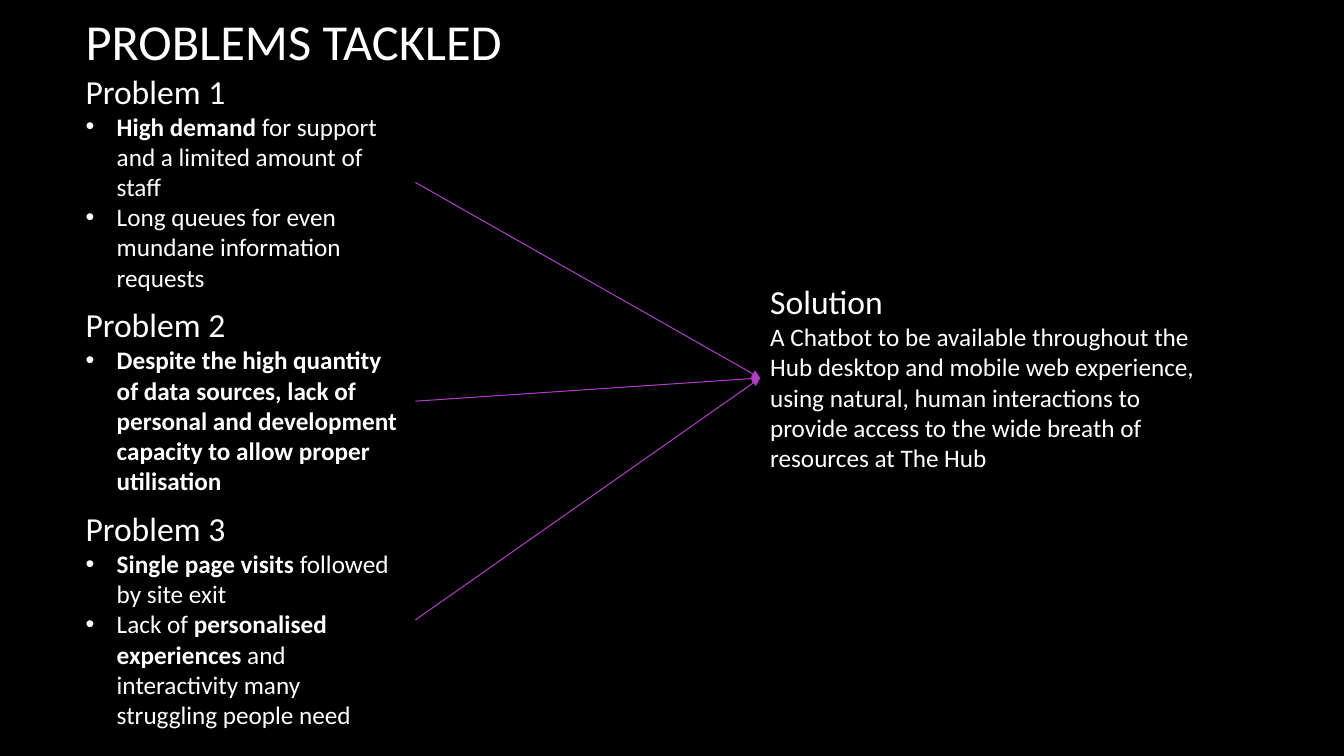
from lxml import etree
from pptx import Presentation
from pptx.dml.color import RGBColor
from pptx.enum.shapes import MSO_CONNECTOR
from pptx.enum.text import MSO_ANCHOR
from pptx.oxml.ns import qn
from pptx.util import Inches, Pt

COLORS = {"background": "000000", "text": "FFFFFF", "arrow": "AC3EC1"}
FONT = "Calibri"
LEFT, PROBLEM_WIDTH = 0.75, 3.37
SOLUTION_LEFT, SOLUTION_TOP, SOLUTION_HEIGHT = 7.54, 2.74, 2.02

PROBLEMS = [
    ("Problem 1", 0.65, 2.32, [
        [("High demand ", True), ("for support and a limited amount of staff", False)],
        [("Long queues for even mundane information requests", False)],
    ]),
    ("Problem 2", 2.97, 2.02, [
        [("Despite the high quantity of data sources, lack of personal and "
          "development capacity to allow proper utilisation", True)],
    ]),
    ("Problem 3", 4.99, 2.32, [
        [("Single page visits", True), (" followed by site exit", False)],
        [("Lack of ", False), ("personalised experiences", True),
         (" and interactivity many struggling people need", False)],
    ]),
]
SOLUTION = [[(
    "A Chatbot to be available throughout the Hub desktop and mobile web "
    "experience, using natural, human interactions to provide access to the "
    "wide breath of resources at The Hub", False)]]


def add_text(left, top, width, height, heading, size, body=(), bulleted=False):
    frame = slide.shapes.add_textbox(
        Inches(left), Inches(top), Inches(width), Inches(height)).text_frame
    frame.word_wrap = True
    for index, parts in enumerate([[(heading, False)], *body]):
        paragraph = frame.add_paragraph() if index else frame.paragraphs[0]
        for words, bold in parts:
            run = paragraph.add_run()
            run.text = words
            run.font.name = FONT
            run.font.size = Pt(18 if index else size)
            run.font.bold = bold
            run.font.color.rgb = RGBColor.from_string(COLORS["text"])
        if index and bulleted:
            properties = paragraph._p.get_or_add_pPr()
            properties.set("marL", str(Inches(0.31)))
            properties.set("indent", str(Inches(-0.31)))
            etree.SubElement(properties, qn("a:buFont"), typeface="Arial")
            etree.SubElement(properties, qn("a:buChar"), char="•")
    return frame


prs = Presentation()
prs.slide_width, prs.slide_height = Inches(13.33), Inches(7.5)
slide = prs.slides.add_slide(prs.slide_layouts[6])
slide.background.fill.solid()
slide.background.fill.fore_color.rgb = RGBColor.from_string(COLORS["background"])

title = add_text(LEFT, -0.39, 11.08, 1.59, "PROBLEMS TACKLED", 36)
title.vertical_anchor = MSO_ANCHOR.MIDDLE

for heading, top, height, points in PROBLEMS:
    add_text(LEFT, top, PROBLEM_WIDTH, height, heading, 24, points, bulleted=True)

add_text(SOLUTION_LEFT, SOLUTION_TOP, 4.42, SOLUTION_HEIGHT, "Solution", 24, SOLUTION)

for heading, top, height, points in PROBLEMS:
    arrow = slide.shapes.add_connector(
        MSO_CONNECTOR.STRAIGHT,
        Inches(LEFT + PROBLEM_WIDTH), Inches(top + height / 2),
        Inches(SOLUTION_LEFT), Inches(SOLUTION_TOP + SOLUTION_HEIGHT / 2))
    arrow.line.color.rgb = RGBColor.from_string(COLORS["arrow"])
    arrow.line.width = Pt(0.75)
    etree.SubElement(arrow.line._get_or_add_ln(), qn("a:tailEnd"), type="triangle")
    etree.SubElement(arrow._element.spPr, qn("a:effectLst"))

prs.save("out.pptx")
